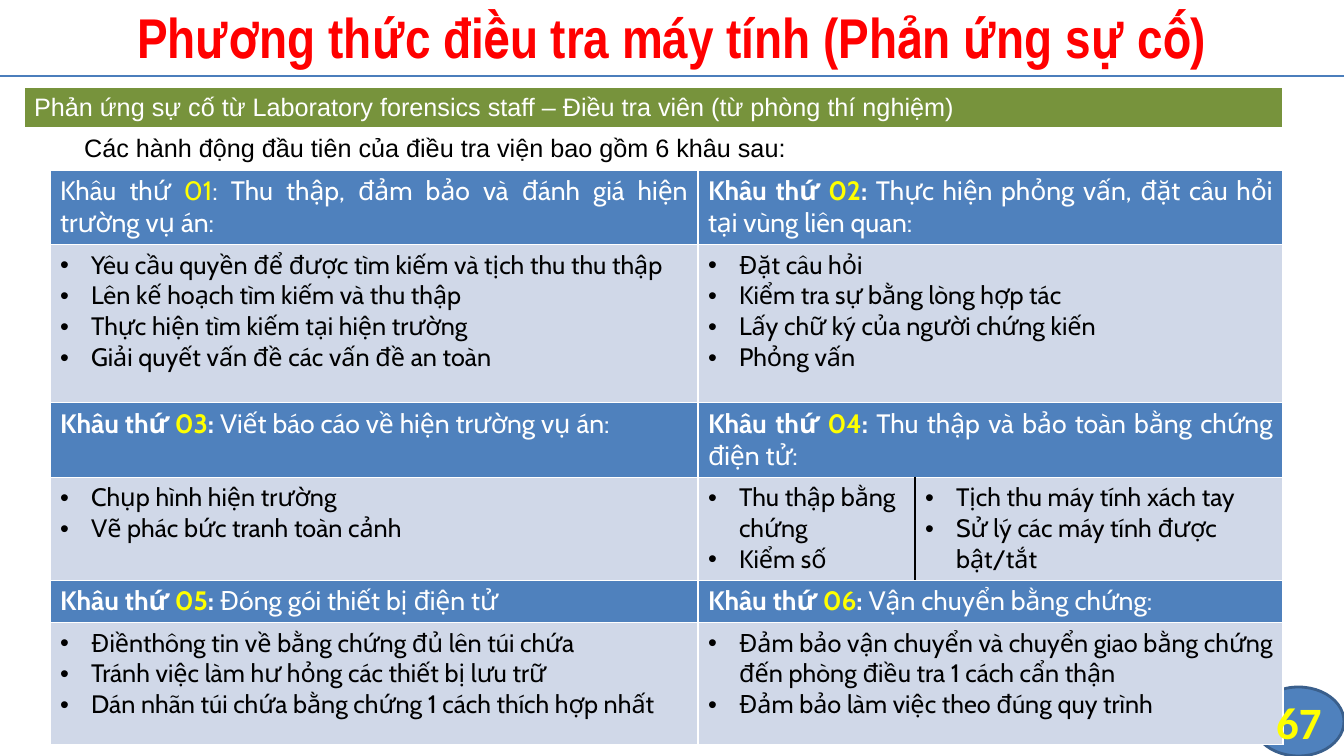
from lxml import etree
from pptx import Presentation
from pptx import util as u
from pptx.dml.color import RGBColor
from pptx.enum import shapes, text
from pptx.oxml import parse_xml
from pptx.oxml.ns import nsdecls, qn

PX = 914400 / 100.8
WHITE = RGBColor(0xFF, 0xFF, 0xFF)
BLACK = RGBColor(0, 0, 0)
RED = RGBColor(0xFF, 0, 0)
YELLOW = RGBColor(0xFF, 0xFF, 0)
BLUE = RGBColor(0x4F, 0x81, 0xBD)
DARK_BLUE = RGBColor(0x3A, 0x5F, 0x8C)
RULE_BLUE = RGBColor(0x4B, 0x7E, 0xBC)
PALE = RGBColor(0xD0, 0xD8, 0xE8)
GREEN = RGBColor(0x77, 0x93, 0x3C)
LEFT, CENTER, JUSTIFY = text.PP_ALIGN.LEFT, text.PP_ALIGN.CENTER, text.PP_ALIGN.JUSTIFY

STAGES = [
    ("01", "Thu thập, đảm bảo và đánh giá hiện trường vụ án:",
     [["Yêu cầu quyền để được tìm kiếm và tịch thu thu thập",
       "Lên kế hoạch tìm kiếm và thu thập",
       "Thực hiện tìm kiếm tại hiện trường",
       "Giải quyết vấn đề các vấn đề an toàn"]]),
    ("02", "Thực hiện phỏng vấn, đặt câu hỏi tại vùng liên quan:",
     [["Đặt câu hỏi", "Kiểm tra sự bằng lòng hợp tác",
       "Lấy chữ ký của người chứng kiến", "Phỏng vấn"]]),
    ("03", "Viết báo cáo về hiện trường vụ án:",
     [["Chụp hình hiện trường", "Vẽ phác bức tranh toàn cảnh"]]),
    ("04", "Thu thập và bảo toàn bằng chứng điện tử:",
     [["Thu thập bằng chứng", "Kiểm số"],
      ["Tịch thu máy tính xách tay", "Sử lý các máy tính được bật/tắt"]]),
    ("05", "Đóng gói thiết bị điện tử",
     [["Điềnthông tin về bằng chứng đủ lên túi chứa",
       "Tránh việc làm hư hỏng các thiết bị lưu trữ",
       "Dán nhãn túi chứa bằng chứng 1 cách thích hợp nhất"]]),
    ("06", "Vận chuyển bằng chứng:",
     [["Đảm bảo vận chuyển và chuyển giao bằng chứng đến phòng điều tra 1 cách cẩn thận",
       "Đảm bảo làm việc theo đúng quy trình"]]),
]


def px(n):
    return u.Emu(round(n * PX))


class SlideBuilder:
    def __init__(self, slide):
        self.slide = slide
        self.body = dict(name="Cabin", size=u.Pt(18), bold=False)
        self.heading = dict(self.body, size=u.Pt(19))
        self.intro = dict(self.body, name="Arial")

    def box(self, *at):
        return [px(n) for n in at]

    def fill_paragraph(self, paragraph, runs, style, align=LEFT):
        paragraph.alignment = align
        for words, color, bold in runs:
            run = paragraph.add_run()
            run.text = words
            for key, value in dict(style, bold=bold).items():
                setattr(run.font, key, value)
            run.font.color.rgb = color

    def frame(self, shape, words, style, color, margins):
        frame = shape.text_frame
        layout = dict(word_wrap=True, auto_size=text.MSO_AUTO_SIZE.NONE,
                      vertical_anchor=text.MSO_ANCHOR.MIDDLE)
        layout.update(zip(("margin_left", "margin_top", "margin_right", "margin_bottom"),
                          self.box(*margins)))
        for key, value in layout.items():
            setattr(frame, key, value)
        self.fill_paragraph(frame.paragraphs[0], [(words, color, True)], style, CENTER)

    def title(self, at, words):
        holder = self.slide.shapes.title
        for key, value in zip(("left", "top", "width", "height"), self.box(*at)):
            setattr(holder, key, value)
        self.frame(holder, words, dict(name="Arial Narrow", size=u.Pt(40)), RED, (10, 5, 10, 5))

    def label(self, at, words, style, color):
        self.frame(self.slide.shapes.add_textbox(*self.box(*at)), words, style, color, (0, 0, 0, 0))

    def disc(self, at):
        disc = self.slide.shapes.add_shape(
            shapes.MSO_SHAPE.FLOWCHART_CONNECTOR, *self.box(*at))
        disc.shadow.inherit = False
        disc.fill.solid()
        disc.fill.fore_color.rgb = BLUE
        disc.line.color.rgb = DARK_BLUE
        disc.line.width = u.Pt(2)

    def rule(self, *ends):
        rule = self.slide.shapes.add_connector(
            shapes.MSO_CONNECTOR.STRAIGHT, *self.box(*ends))
        rule.line.color.rgb = RULE_BLUE
        rule.line.width = u.Pt(0.75)
        etree.SubElement(rule._element.spPr, qn("a:effectLst"))

    def table(self, left, top, widths, heights):
        table = self.slide.shapes.add_table(
            len(heights), len(widths),
            *self.box(left, top, sum(widths), sum(heights))).table
        table.first_row = table.horz_banding = False
        for column, width in zip(table.columns, widths):
            column.width = px(width)
        for row, height in zip(table.rows, heights):
            row.height = px(height)
        return table

    def paint(self, cell, fill, **edges):
        cell.fill.solid()
        cell.fill.fore_color.rgb = fill
        for place, side in enumerate("LRTB"):
            cell._tc.get_or_add_tcPr().insert(place, parse_xml(
                f'<a:ln{side} {nsdecls("a")} w="12700"><a:solidFill>'
                f'<a:srgbClr val="{edges.get(side, WHITE)}"/></a:solidFill></a:ln{side}>'))

    def bullets(self, cell, items, align):
        for i, item in enumerate(items):
            frame = cell.text_frame
            paragraph = frame.add_paragraph() if i else frame.paragraphs[0]
            props = paragraph._p.get_or_add_pPr()
            props.set("marL", str(px(31)))
            props.set("indent", str(-px(31)))
            for bullet in (f'<a:buClr {nsdecls("a")}><a:srgbClr val="{BLACK}"/></a:buClr>',
                           f'<a:buFont {nsdecls("a")} typeface="Arial"/>',
                           f'<a:buChar {nsdecls("a")} char="•"/>'):
                props.append(parse_xml(bullet))
            self.fill_paragraph(paragraph, [(item, BLACK, False)], self.body, align)

    def intro_table(self, rows):
        table = self.table(24, 87, [1259], [39, 43])
        for cell, (words, fill, color, indent) in zip(table.iter_cells(), rows):
            self.paint(cell, fill)
            paragraph = cell.text_frame.paragraphs[0]
            paragraph.line_spacing = 1.07
            paragraph._p.get_or_add_pPr().set("marL", str(px(indent)))
            self.fill_paragraph(paragraph, [(words, color, False)], self.intro)

    def stage_table(self, stages):
        table = self.table(50, 170, [648, 217, 368], [74, 158, 74, 103, 42, 122])
        for i, (number, subject, lists) in enumerate(stages):
            row, column = i // 2 * 2, i % 2
            head, detail = table.cell(row, column), table.cell(row + 1, column)
            split = len(lists) > 1
            if column:
                head.merge(table.cell(row, 2))
                if not split:
                    detail.merge(table.cell(row + 1, 2))
            self.paint(head, BLUE)
            bold = i > 0
            self.fill_paragraph(head.text_frame.paragraphs[0],
                                [("Khâu thứ ", WHITE, bold), (number, YELLOW, bold),
                                 (": ", WHITE, bold), (subject, WHITE, False)],
                                self.heading, JUSTIFY)
            for j, items in enumerate(lists):
                cell = table.cell(row + 1, column + j)
                self.paint(cell, PALE, **({"RL"[j]: BLACK} if split else {}))
                self.bullets(cell, items, LEFT if split else JUSTIFY)


def main():
    deck = Presentation()
    deck.slide_width, deck.slide_height = px(1344), px(756)
    page = SlideBuilder(deck.slides.add_slide(deck.slide_layouts.get_by_name("Title Only")))
    page.disc((1253, 687, 91, 69))
    page.rule(0, 76, 1344, 76)
    page.title((0, -3, 1344, 79), "Phương thức điều tra máy tính (Phản ứng sự cố)")
    page.intro_table([
        ("Phản ứng sự cố từ Laboratory forensics staff – Điều tra viên (từ phòng thí nghiệm)",
         GREEN, WHITE, 0),
        ("Các hành động đầu tiên của điều tra viện bao gồm 6 khâu sau:", WHITE, BLACK, 50),
    ])
    page.stage_table(STAGES)
    page.label((1254, 687, 90, 69), "67", dict(name="Calibri", size=u.Pt(32)), YELLOW)
    deck.save("out.pptx")


if __name__ == "__main__":
    main()
